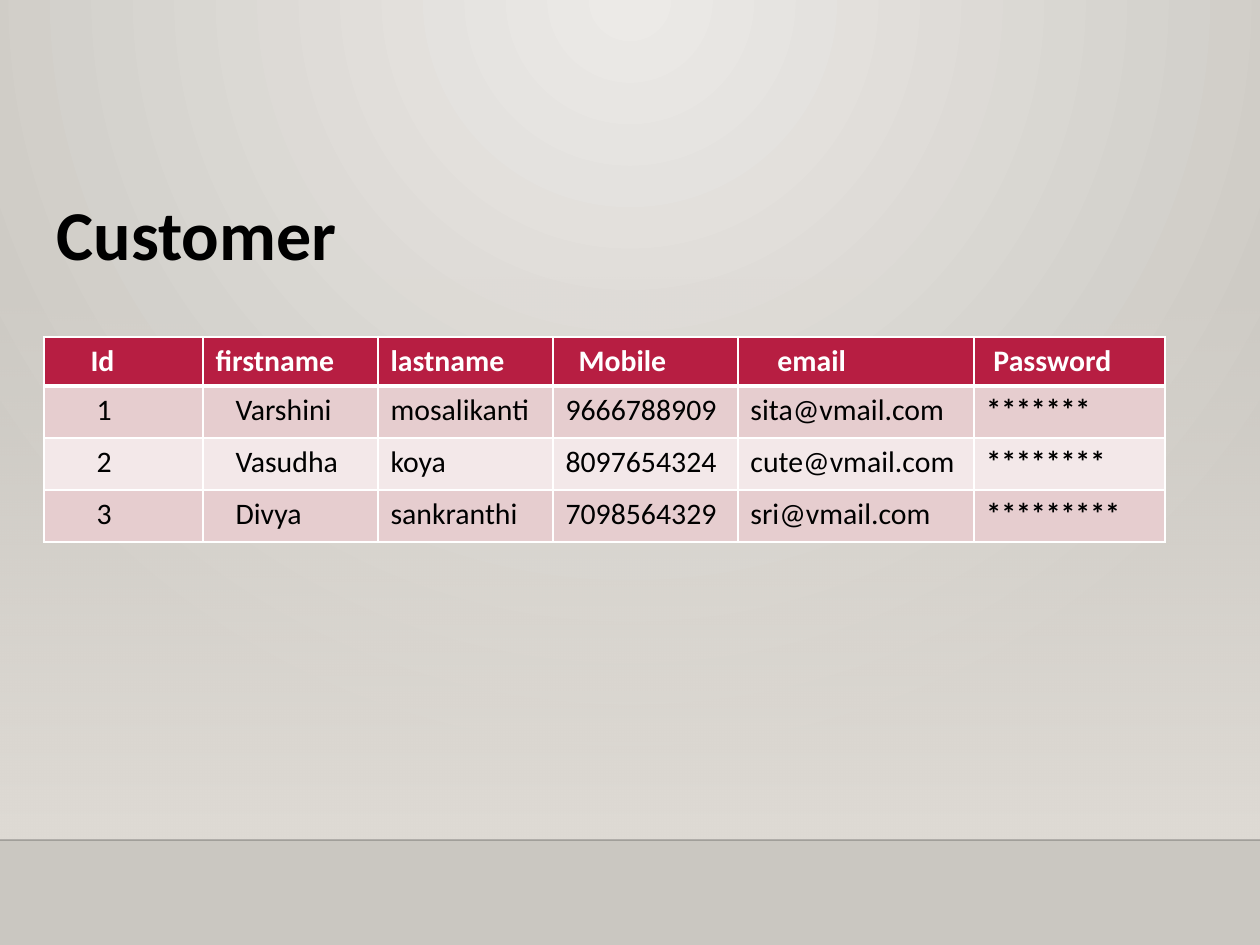
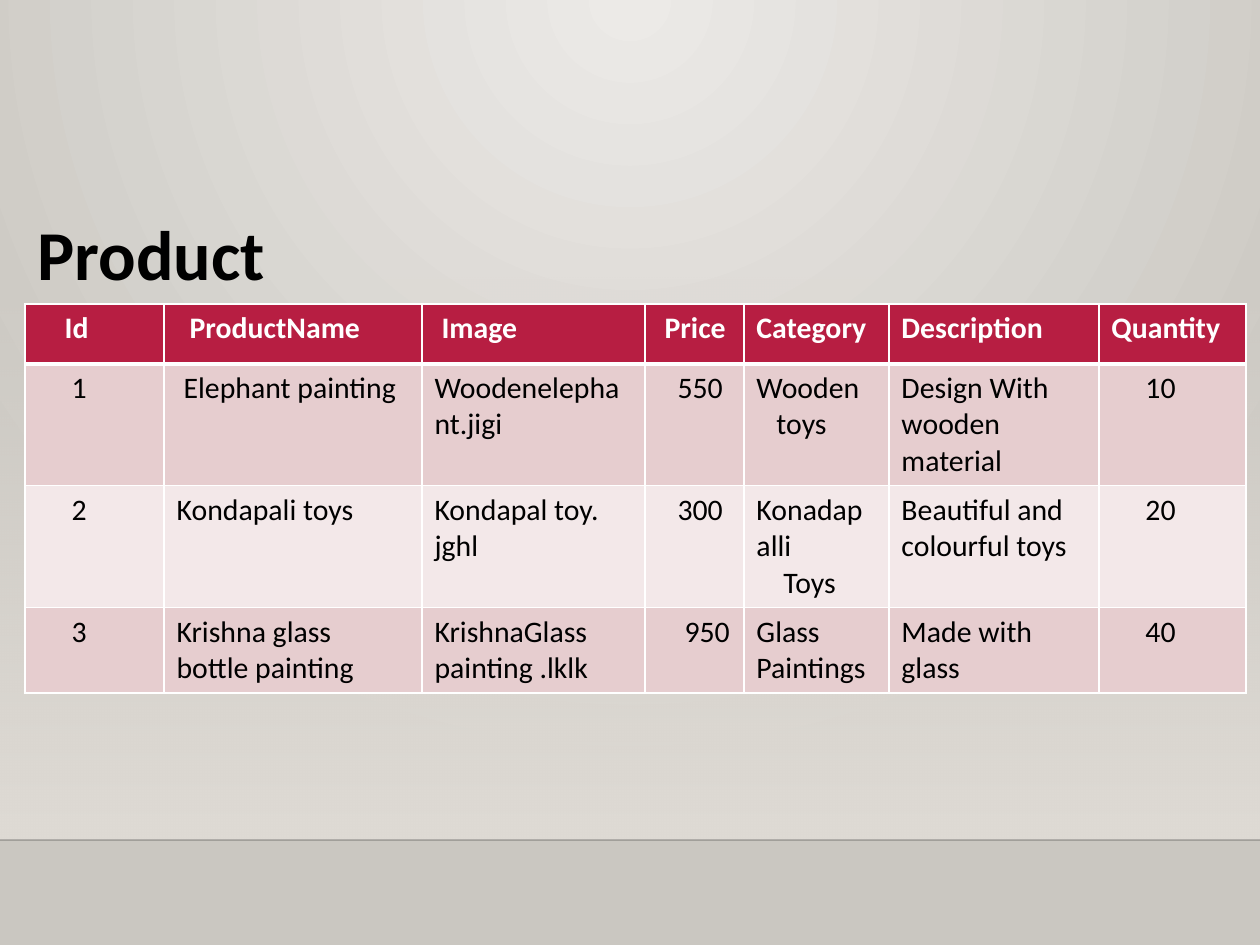
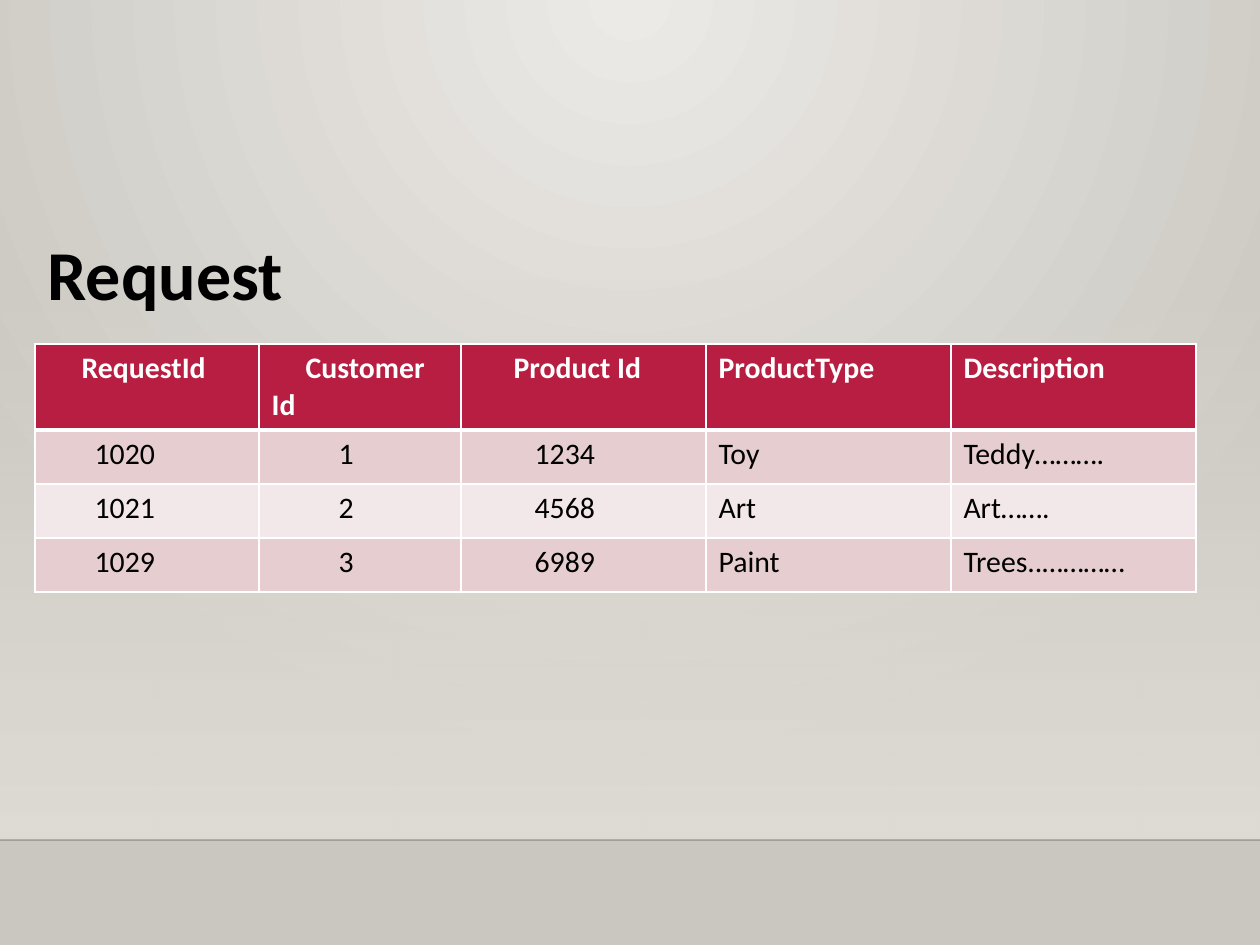
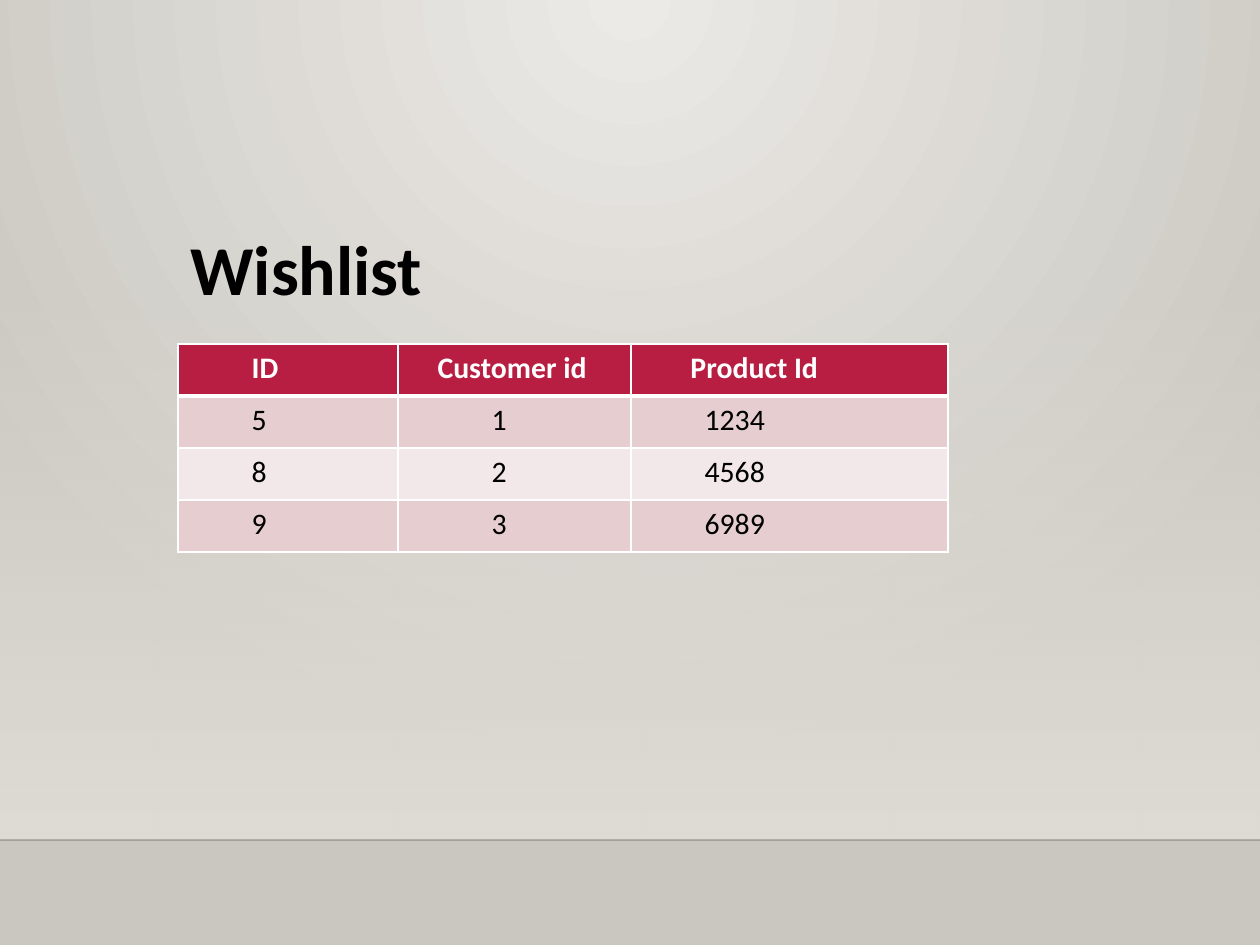
from dataclasses import dataclass

from lxml.etree import SubElement
from pptx import Presentation
from pptx.dml.color import RGBColor
from pptx.enum.shapes import MSO_CONNECTOR, MSO_SHAPE
from pptx.enum.text import MSO_ANCHOR, PP_ALIGN
from pptx.oxml import parse_xml
from pptx.oxml.ns import nsdecls, qn
from pptx.util import Emu, Pt

EMU_PER_PX = 914400 / 126
SLIDE_WIDTH, SLIDE_HEIGHT = 1260, 945
FLOOR_TOP = 840
GLOW_TOP = 277
TITLE_HEIGHT = 97

FONT = "Calibri"
BLACK = RGBColor(0x00, 0x00, 0x00)
WHITE = RGBColor(0xFF, 0xFF, 0xFF)
CRIMSON = RGBColor(0xB7, 0x1E, 0x42)
ROSE = RGBColor(0xE6, 0xCD, 0xCF)
PALE_ROSE = RGBColor(0xF3, 0xE8, 0xE9)
LIGHT_STONE = RGBColor(0xEC, 0xEA, 0xE7)
DARK_STONE = RGBColor(0xCA, 0xC7, 0xC1)
GLOW = RGBColor(0xDF, 0xDB, 0xD5)
FLOOR_EDGE = RGBColor(0x00, 0x00, 0x01)


@dataclass
class Line:
    text: str
    indent: int = 0


@dataclass
class Column:
    """Entries are strings, or tuples of Lines where an indent differs."""
    width: int
    heading: str
    entries: list
    heading_indent: int = 0
    entry_indent: int = 0
    bold_entries: bool = False


def px(length):
    return Emu(round(length * EMU_PER_PX))


def set_alpha(color_parent, percent):
    color = color_parent.find(".//" + qn("a:srgbClr"))
    SubElement(color, qn("a:alpha")).set("val", str(percent * 1000))


def set_stops(fill, *colors):
    fill.gradient()
    for stop, color in zip(fill.gradient_stops, colors):
        stop.color.rgb = color


def style_master(master, slide):
    """Give the master its backdrop; shapes are drawn on slide, then moved."""
    set_stops(master.background.fill, LIGHT_STONE, DARK_STONE)
    gradient = master.element.find(".//" + qn("a:gradFill"))
    gradient.replace(gradient.find(qn("a:lin")), parse_xml(
        f'<a:path {nsdecls("a")} path="circle">'
        '<a:fillToRect l="43000" t="0" r="43000" b="100000"/></a:path>'))

    glow = slide.shapes.add_shape(
        MSO_SHAPE.RECTANGLE, 0, px(GLOW_TOP), px(SLIDE_WIDTH), px(FLOOR_TOP - GLOW_TOP))
    glow.shadow.inherit = False
    glow.line.fill.background()
    set_stops(glow.fill, GLOW, GLOW)
    glow.fill.gradient_angle = 270
    set_alpha(glow.element.find(".//" + qn("a:gs")), 0)

    floor_edge = slide.shapes.add_connector(
        MSO_CONNECTOR.STRAIGHT, 0, px(FLOOR_TOP), px(SLIDE_WIDTH), px(FLOOR_TOP))
    floor_edge.line.width = Pt(1)
    floor_edge.line.color.rgb = FLOOR_EDGE
    properties = floor_edge.element.spPr
    set_alpha(properties, 20)
    SubElement(properties, qn("a:effectLst"))

    for position, part in enumerate((glow, floor_edge), start=2):
        master.shapes.element.insert(position, part.element)


def style_font(paragraph, size, color, bold):
    font = paragraph.font
    font.name, font.size, font.bold = FONT, Pt(size), bold
    font.color.rgb = color


def place_title(slide, text, left, top, width):
    title = slide.shapes.title
    title.left, title.top = px(left), px(top)
    title.width, title.height = px(width), px(TITLE_HEIGHT)
    frame = title.text_frame
    frame.text = text
    frame.word_wrap = True
    frame.vertical_anchor = MSO_ANCHOR.TOP
    frame.paragraphs[0].alignment = PP_ALIGN.LEFT
    style_font(frame.paragraphs[0], 40, BLACK, True)


def set_borders(cell, top, bottom):
    properties = cell._tc.get_or_add_tcPr()
    widths = {"lnL": 1, "lnR": 1, "lnT": top, "lnB": bottom}
    for position, (side, width) in enumerate(widths.items()):
        properties.insert(position, parse_xml(
            f'<a:{side} {nsdecls("a")} w="{Pt(width)}"><a:solidFill>'
            f'<a:srgbClr val="{WHITE}"/></a:solidFill></a:{side}>'))


def fill_cell(cell, lines, color, bold):
    frame = cell.text_frame
    frame.text = "\n".join(line.text for line in lines)
    for paragraph, line in zip(frame.paragraphs, lines):
        if line.indent:
            properties = paragraph._p.get_or_add_pPr()
            properties.set("marL", "0")
            properties.set("indent", str(px(line.indent)))
        style_font(paragraph, 17, color, bold)


def place_records(slide, left, top, row_heights, columns):
    width = sum(column.width for column in columns)
    records = slide.shapes.add_table(
        len(row_heights), len(columns), px(left), px(top),
        px(width), px(sum(row_heights))).table
    for row, height in zip(records.rows, row_heights):
        row.height = px(height)
    for index, column in enumerate(columns):
        records.columns[index].width = px(column.width)
        for number, entry in enumerate([column.heading, *column.entries]):
            cell = records.cell(number, index)
            is_heading = number == 0
            indent = column.heading_indent if is_heading else column.entry_indent
            lines = [Line(entry, indent)] if isinstance(entry, str) else entry
            fill_cell(cell, lines, WHITE if is_heading else BLACK,
                      is_heading or column.bold_entries)
            cell.fill.solid()
            cell.fill.fore_color.rgb = (
                CRIMSON if is_heading else ROSE if number % 2 else PALE_ROSE)
            set_borders(cell, 3 if number == 1 else 1, 3 if is_heading else 1)


def customer_columns():
    return [
        Column(159, "Id", ["1", "2", "3"], 34, 40),
        Column(175, "firstname", ["Varshini", "Vasudha", "Divya"], 0, 20),
        Column(175, "lastname", ["mosalikanti", "koya", "sankranthi"]),
        Column(185, "Mobile", ["9666788909", "8097654324", "7098564329"], 13),
        Column(236, "email", ["sita@vmail.com", "cute@vmail.com", "sri@vmail.com"], 27),
        Column(191, "Password", ["*" * 7, "*" * 8, "*" * 9], 7, bold_entries=True),
    ]


def product_columns():
    return [
        Column(139, "Id", ["1", "2", "3"], 27, 34),
        Column(258, "ProductName", [
            (Line("Elephant painting", 7),),
            "Kondapali toys",
            "Krishna glass bottle painting"], 13),
        Column(223, "Image", [
            "Woodenelephant.jigi",
            "Kondapal toy. jghl",
            (Line("KrishnaGlass"), Line("painting .lklk"))], 7),
        Column(99, "Price", ["550", "300", (Line("950", 27),)], 7, 20),
        Column(145, "Category", [
            (Line("Wooden"), Line("toys", 20)),
            (Line("Konadapalli"), Line("Toys", 27)),
            "Glass Paintings"]),
        Column(210, "Description", [
            "Design With wooden material",
            "Beautiful and colourful toys",
            "Made with glass"]),
        Column(147, "Quantity", ["10", "20", "40"], 0, 34),
    ]


def request_columns():
    return [
        Column(224, "RequestId", ["1020", "1021", "1029"], 34, 47),
        Column(202, "Customer Id", ["1", "2", "3"], 34, 67),
        Column(245, "Product Id", ["1234", "4568", "6989"], 40, 61),
        Column(245, "ProductType", ["Toy", "Art", "Paint"]),
        Column(245, "Description", ["Teddy……….", "Art…….", "Trees..…………"]),
    ]


def wishlist_columns():
    return [
        Column(220, "ID", ["5", "8", "9"], 61, 61),
        Column(233, "Customer id", ["1", "2", "3"], 27, 81),
        Column(317, "Product Id", ["1234", "4568", "6989"], 47, 61),
    ]


def main():
    deck = Presentation()
    deck.slide_width, deck.slide_height = px(SLIDE_WIDTH), px(SLIDE_HEIGHT)
    title_only = deck.slide_layouts[5]

    # title, left, title top, title width, records top, row heights, columns
    entities = [
        ("Customer", 44, 184, 737, 337, [47, 52, 52, 52], customer_columns()),
        ("Product", 25, 204, 704, 304, [60, 120, 120, 84], product_columns()),
        ("Request", 35, 224, 750, 344, [86, 54, 54, 54], request_columns()),
        ("Wishlist", 178, 219, 630, 344, [52, 52, 52, 52], wishlist_columns()),
    ]
    for name, left, title_top, title_width, top, row_heights, columns in entities:
        slide = deck.slides.add_slide(title_only)
        place_title(slide, name, left, title_top, title_width)
        place_records(slide, left, top, row_heights, columns)

    style_master(deck.slide_master, deck.slides[0])
    deck.save("out.pptx")


if __name__ == "__main__":
    main()
